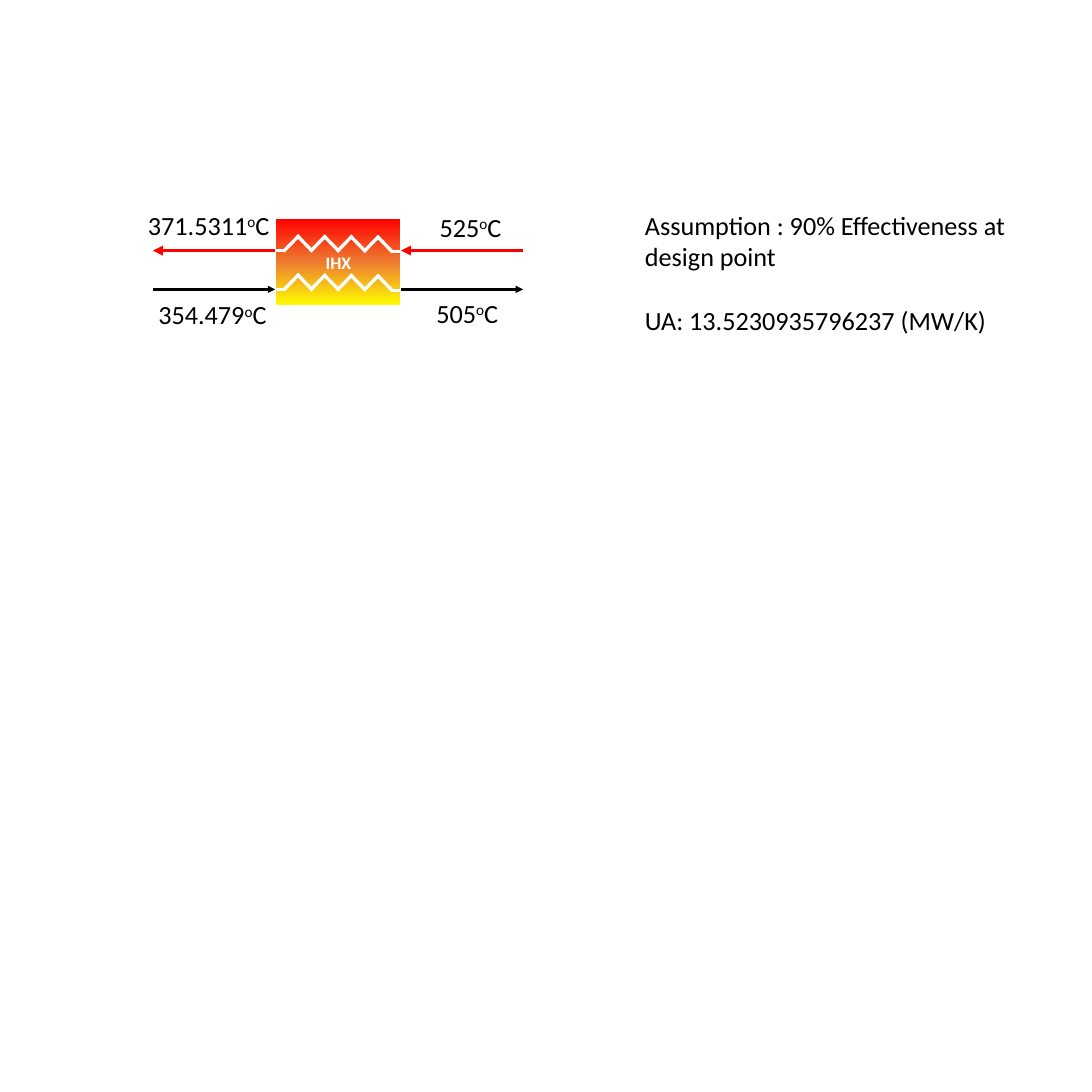
from copy import deepcopy

from lxml.etree import SubElement
from pptx import Presentation
from pptx.dml.color import RGBColor
from pptx.enum.shapes import MSO_CONNECTOR as Connector, MSO_SHAPE as Shape
from pptx.enum.text import MSO_ANCHOR as Anchor, MSO_AUTO_SIZE as AutoSize, PP_ALIGN as Align
from pptx.oxml.ns import qn
from pptx.util import Inches, Pt

COLORS = {"hot": "FF0000", "warm": "ED7D31", "cool": "FFFF00", "white": "FFFFFF", "black": "000000"}


class Diagram:
    """Draws on one page, with every length in hundredths of its side."""

    def __init__(self, deck, font="Calibri", size=23.8):
        self.side = deck.slide_width
        self.font, self.size = font, size
        self.page = deck.slides.add_slide(deck.slide_layouts[6])
        self.exchanger = self.page.shapes.add_group_shape().shapes

    def share(self, *values):
        """Turn hundredths of the side into lengths."""
        return [round(self.side * value / 100) for value in values]

    def color(self, name):
        """Look up a named color."""
        return RGBColor.from_string(COLORS[name])

    def style(self, span, color="black", size=None, bold=False):
        """Format one run."""
        span.font.name, span.font.size = self.font, Pt(size or self.size)
        span.font.bold, span.font.color.rgb = bold, self.color(color)

    def gradient_block(self, place, text, names):
        """Draw the labelled block with evenly spaced gradient stops."""
        block = self.exchanger.add_shape(Shape.RECTANGLE, *self.share(*place))
        block.shadow.inherit = False
        block.line.color.rgb, block.line.width = self.color("white"), Pt(1)
        block.fill.gradient()
        block.fill.gradient_angle = 270
        stops = block.fill._fill._gradFill.gsLst
        stops.append(deepcopy(stops[0]))
        for index, (stop, name) in enumerate(zip(block.fill.gradient_stops, names)):
            stop.position = index / (len(names) - 1)
            stop.color.rgb = self.color(name)
        block.text_frame.text = text
        block.text_frame.vertical_anchor = Anchor.MIDDLE
        para = block.text_frame.paragraphs[0]
        para.alignment = Align.CENTER
        self.style(para.runs[0], "white", 16, True)

    def line(self, shapes, start, end, color="white", width=3, arrow=False):
        """Draw a straight line, with an arrowhead at its end if asked."""
        link = shapes.add_connector(Connector.STRAIGHT, *self.share(*start, *end))
        link.line.color.rgb, link.line.width = self.color(color), Pt(width)
        if arrow:
            SubElement(link.line._get_or_add_ln(), qn("a:tailEnd"), type="triangle")
        SubElement(link._element.spPr, qn("a:effectLst"))

    def coil(self, row, left, right):
        """Draw a zigzag tube between two stubs."""
        for index in range(8):
            x, low, high = left + 0.78 + 1.22 * index, row + 0.06, row - 1.4
            ends = (low, high) if index % 2 == 0 else (high, low)
            drift = 0.01 * index
            self.line(self.exchanger, (x, ends[0] + drift), (x + 1.42, ends[1] + drift))
        self.line(self.exchanger, (left, row), (left + 0.92, row))
        self.line(self.exchanger, (right - 0.92, row + 0.1), (right, row + 0.1))

    def text_box(self, place, wrap):
        """Add an empty text box that grows with its text."""
        frame = self.page.shapes.add_textbox(*self.share(*place)).text_frame
        frame.word_wrap, frame.auto_size = wrap, AutoSize.SHAPE_TO_FIT_TEXT
        return frame

    def temperature(self, place, value):
        """Write a temperature in degrees Celsius."""
        para = self.text_box((*place, 3.63), False).paragraphs[0]
        for text in (value, "o", "C"):
            span = para.add_run()
            span.text = text
            self.style(span)
            if text == "o":
                span._r.get_or_add_rPr().set("baseline", "30000")

    def notes(self, place, lines, gap):
        """Write paragraphs set apart by a gap in points."""
        frame = self.text_box(place, True)
        frame.text = "\n".join(lines)
        for para in frame.paragraphs:
            self.style(para.runs[0])
        for para in frame.paragraphs[1:]:
            para.space_before = Pt(gap)


deck = Presentation()
deck.slide_width = deck.slide_height = Inches(13.78)
diagram = Diagram(deck)

inlet, left, right, outlet = 14, 25.2, 36.72, 47.9
hot_row, cold_row = 22.95, 26.5

diagram.gradient_block((25.25, 20.03, 11.47, 7.98), "IHX", ("hot", "warm", "cool"))
for row in (hot_row, cold_row):
    diagram.coil(row, left, right)

for start, end in ((inlet, left), (right, outlet)):
    diagram.line(diagram.page.shapes, (start, cold_row), (end, cold_row), "black", 2.25, True)
    diagram.line(diagram.page.shapes, (end, hot_row), (start, hot_row), "hot", 3, True)

for place, value in (
    ((39.26, 26.85, 7.33), "505"),
    ((13.79, 27, 11.61), "354.479"),
    ((39.55, 19.01, 7.33), "525"),
    ((12.84, 18.8, 12.84), "371.5311"),
):
    diagram.temperature(place, value)

diagram.notes(
    (58.35, 18.8, 34.98, 18.21),
    ("Assumption : 90% Effectiveness at design point", "UA: 13.5230935796237 (MW/K)"),
    29,
)

deck.save("out.pptx")
